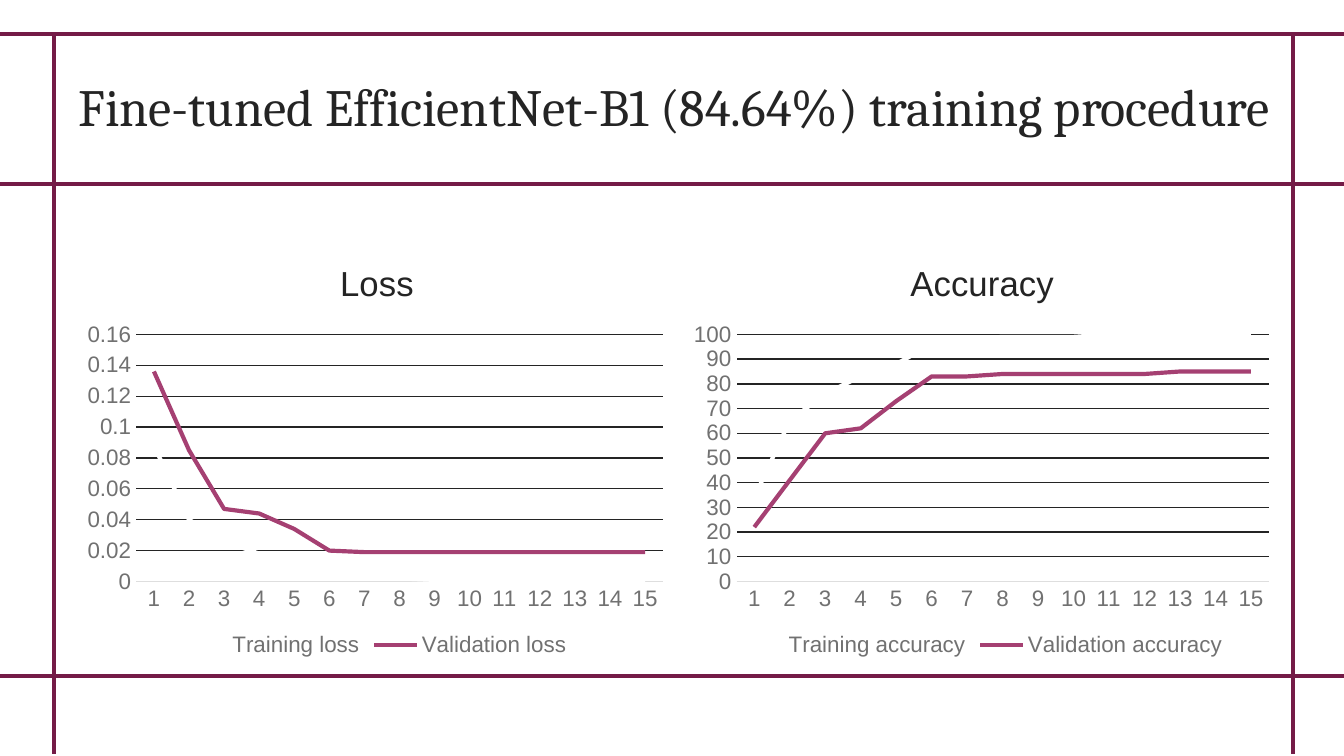
from dataclasses import dataclass

from lxml.etree import SubElement
from pptx import Presentation
from pptx.chart.data import CategoryChartData
from pptx.dml.color import RGBColor
from pptx.enum.chart import XL_CHART_TYPE, XL_LEGEND_POSITION, XL_TICK_MARK
from pptx.enum.shapes import MSO_CONNECTOR
from pptx.enum.text import MSO_ANCHOR, PP_ALIGN
from pptx.oxml import parse_xml
from pptx.oxml.ns import nsdecls, qn
from pptx.util import Inches, Pt


@dataclass(frozen=True)
class Theme:
    """Colours, fonts and type sizes of the slide."""
    rule: RGBColor = RGBColor.from_string("741B47")
    text: RGBColor = RGBColor.from_string("242424")
    label: RGBColor = RGBColor.from_string("717171")
    axis: RGBColor = RGBColor.from_string("DEDEDE")
    training: RGBColor = RGBColor.from_string("FFFFFF")
    validation: RGBColor = RGBColor.from_string("A54072")
    heading_font: str = "Cambria"
    body_font: str = "Arial"
    heading_size: float = 28
    chart_title_size: float = 18.6
    label_size: float = 12
    base_size: float = 10
    thick: float = 2.25
    thin: float = 0.75


THEME = Theme()
RULES = [
    (-0.02, 0.25, 10.01, 0.25),
    (0.4, 0.25, 0.4, 5.61),
    (0, 5.03, 10.03, 5.03),
    (9.62, 0.25, 9.62, 5.61),
    (0, 1.37, 10.03, 1.37),
]
LOSS = {
    "Training loss": [0.088, 0.04, 0.026, 0.018, 0.013, 0.004, 0.002, 0.002] + [0.001] * 7,
    "Validation loss": [0.136, 0.085, 0.047, 0.044, 0.034, 0.02] + [0.019] * 9,
}
ACCURACY = {
    "Training accuracy": [34, 65, 76, 83, 88, 96, 98, 99, 99, 99] + [100] * 5,
    "Validation accuracy": [22, 41, 60, 62, 73, 83, 83] + [84] * 5 + [85] * 3,
}


def set_font(font, size, color, name=THEME.body_font):
    """Set the face, size and colour of a font."""
    font.name, font.size, font.bold = name, Pt(size), False
    font.color.rgb = color


def set_line(line, color, width):
    """Set the colour and width of a line."""
    line.color.rgb = color
    line.width = Pt(width)


def add_rules(slide, rules):
    """Draw the frame rules, each given by its two ends."""
    for rule in rules:
        line = slide.shapes.add_connector(MSO_CONNECTOR.STRAIGHT, *map(Inches, rule))
        set_line(line.line, THEME.rule, THEME.thick)
        SubElement(line.element.spPr, qn("a:effectLst"))


def add_title(slide, text, box):
    """Place and format the title placeholder in the box."""
    title = slide.shapes.title
    title.left, title.top, title.width, title.height = map(Inches, box)
    tf = title.text_frame
    tf.word_wrap = True
    tf.vertical_anchor = MSO_ANCHOR.TOP
    tf.margin_left = tf.margin_right = tf.margin_top = tf.margin_bottom = Inches(0.1)
    p = tf.paragraphs[0]
    p.alignment = PP_ALIGN.CENTER
    r = p.add_run()
    r.text = text
    set_font(r.font, THEME.heading_size, THEME.text, THEME.heading_font)


def set_layout(parent, index, **fractions):
    """Give a chart part a manual layout in fractions of the chart."""
    old = parent.find(qn("c:layout"))
    if old is not None:
        parent.remove(old)
    target = '<c:layoutTarget val="inner"/>' if "w" in fractions else ""
    modes = "".join(f'<c:{k}Mode val="edge"/>' for k in "xy")
    values = "".join(f'<c:{k} val="{v:.2f}"/>' for k, v in fractions.items())
    parent.insert(index, parse_xml(
        f'<c:layout {nsdecls("c")}><c:manualLayout>{target}{modes}{values}'
        "</c:manualLayout></c:layout>"))


def add_line_chart(slide, box, title, series, top, step, title_x, plot_x):
    """Add a chart of training and validation curves in the box."""
    data = CategoryChartData()
    data.categories = [str(epoch) for epoch in range(1, 16)]
    for name, values in series.items():
        data.add_series(name, values)
    chart = slide.shapes.add_chart(XL_CHART_TYPE.LINE, *map(Inches, box), data).chart
    set_font(chart.font, THEME.base_size, THEME.text)

    chart.has_title = True
    r = chart.chart_title.text_frame.paragraphs[0].add_run()
    r.text = title
    set_font(r.font, THEME.chart_title_size, THEME.text)
    set_layout(chart.chart_title.element, 1, x=title_x, y=0.04)
    plot_area = chart.element.find(qn("c:chart")).find(qn("c:plotArea"))
    set_layout(plot_area, 0, x=plot_x, y=0.23, w=0.98 - plot_x, h=0.58)

    chart.has_legend = True
    chart.legend.position = XL_LEGEND_POSITION.BOTTOM
    chart.legend.include_in_layout = False
    set_font(chart.legend.font, THEME.label_size, THEME.label)

    category, value = chart.category_axis, chart.value_axis
    for axis in (category, value):
        axis.major_tick_mark = axis.minor_tick_mark = XL_TICK_MARK.NONE
        set_font(axis.tick_labels.font, THEME.label_size, THEME.label)
    set_line(category.format.line, THEME.axis, THEME.thin)
    value.format.line.fill.background()
    value.minimum_scale, value.maximum_scale, value.major_unit = 0, top, step
    value.tick_labels.number_format = "General"
    value.tick_labels.number_format_is_linked = False
    set_line(value.major_gridlines.format.line, THEME.text, THEME.thin)

    plot = chart.plots[0]
    plot.vary_by_categories = False
    for curve, color in zip(plot.series, (THEME.training, THEME.validation)):
        curve.smooth = False
        set_line(curve.format.line, color, THEME.thick)


def main():
    """Build the slide and save it."""
    prs = Presentation()
    prs.slide_width = Inches(10)
    prs.slide_height = prs.slide_width * 9 // 16
    slide = prs.slides.add_slide(prs.slide_layouts[5])
    add_rules(slide, RULES)
    add_title(slide, "Fine-tuned EfficientNet-B1 (84.64%) training procedure",
              (0.41, 0.45, 9.21, 0.73))
    add_line_chart(slide, (0.57, 1.76, 4.45, 3.17), "Loss", LOSS, 0.16, 0.02, 0.43, 0.1)
    add_line_chart(slide, (5.08, 1.76, 4.45, 3.17), "Accuracy", ACCURACY, 100, 10, 0.37, 0.09)
    prs.save("out.pptx")


if __name__ == "__main__":
    main()
